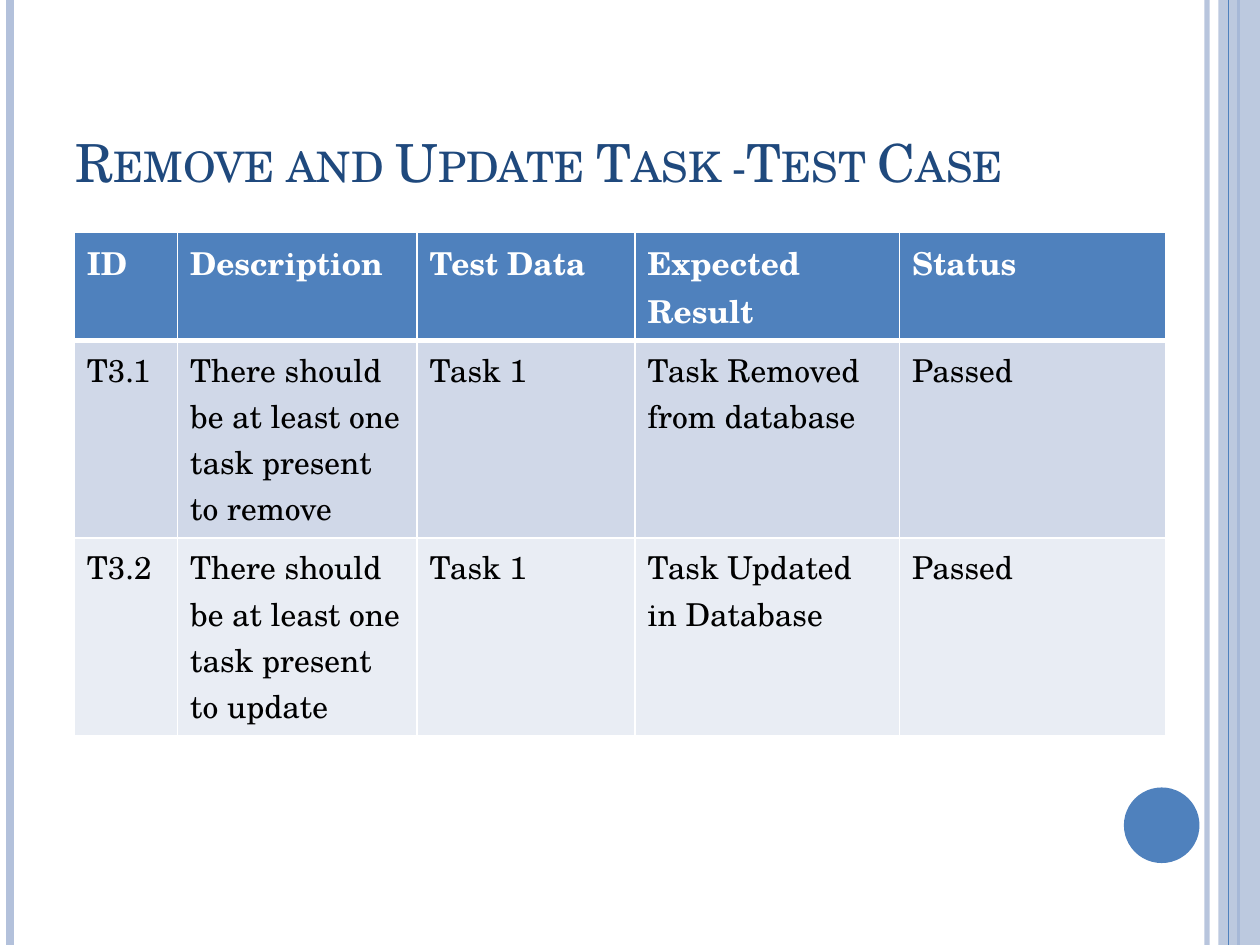
from lxml import etree
from pptx import Presentation
from pptx.dml.color import RGBColor
from pptx.enum.shapes import MSO_CONNECTOR, MSO_SHAPE
from pptx.enum.text import MSO_ANCHOR
from pptx.oxml.ns import qn
from pptx.util import Inches, Pt

STRAIGHT = MSO_CONNECTOR.STRAIGHT
RECTANGLE, OVAL = MSO_SHAPE.RECTANGLE, MSO_SHAPE.OVAL
BOTTOM = MSO_ANCHOR.BOTTOM

# Content
TITLE = "Remove and Update Task -Test Case"
TEST_CASES = [
    ("ID", "Description", "Test Data", "Expected Result", "Status"),
    ("T3.1", "There should be at least one task present to remove", "Task 1",
     "Task Removed from database", "Passed"),
    ("T3.2", "There should be at least one task present to update", "Task 1",
     "Task Updated in Database", "Passed"),
]

THEME = {
    "font": "TeX Gyre Schola", "title_size": 30, "table_size": 18,
    "title": "1F497D", "accent": "4F81BD", "pale": "B3C1DB",
    "header_text": "FFFFFF", "body_text": "000000", "border": "FFFFFF",
    "bands": ("E9EDF4", "D0D8E8"),
}

# Layout in inches
WIDTH, HEIGHT = 10, 7.5
TITLE_BOX = (0.5, 0.33, 8.17, 1.25)
TABLE_LEFT, TABLE_TOP = 0.59, 1.84
COLUMN_WIDTHS = (0.82, 1.9, 1.73, 2.1, 2.11)
ROW_HEIGHTS = (0.86, 1.57, 1.57)
# Vertical rules: x, colour, points, opacity percent
RULES_BEHIND = [(9.58, "pale", 3, 93), (0.08, "pale", 4.5, 100),
                (9.83, "accent", 1.5, 100)]
RULES_FRONT = [(9.75, "accent", 0.75, 100)]
SIDE_BAND = (9.67, 0, 0.33, HEIGHT)
DISC = (8.92, 6.25, 0.6, 0.6)


def color(name):
    return RGBColor.from_string(THEME.get(name, name))


def set_opacity(properties, percent):
    if percent < 100:
        fill_color = next(properties.iter(qn("a:srgbClr")))
        etree.SubElement(fill_color, qn("a:alpha"), val=str(percent * 1000))


def add_rule(slide, x, color_name, points, opacity):
    rule = slide.shapes.add_connector(
        STRAIGHT, Inches(x), 0, Inches(x), Inches(HEIGHT))
    rule.line.color.rgb = color(color_name)
    rule.line.width = Pt(points)
    properties = rule._element.spPr
    set_opacity(properties, opacity)
    etree.SubElement(properties, qn("a:effectLst"))


def add_solid(slide, preset, box, color_name, opacity=100):
    shape = slide.shapes.add_shape(preset, *map(Inches, box))
    shape.shadow.inherit = False
    shape.fill.solid()
    shape.fill.fore_color.rgb = color(color_name)
    shape.line.fill.background()
    set_opacity(shape._element.spPr, opacity)


def format_text(text_frame, size, color_name, bold=False):
    for paragraph in text_frame.paragraphs:
        for run in paragraph.runs:
            run.font.name = THEME["font"]
            run.font.size = Pt(THEME[size])
            run.font.bold = bold
            run.font.color.rgb = color(color_name)


def add_borders(cell, widths):
    properties = cell._tc.get_or_add_tcPr()
    for side, points in widths.items():
        line = etree.SubElement(properties, qn("a:ln" + side), w=str(Pt(points)))
        fill = etree.SubElement(line, qn("a:solidFill"))
        etree.SubElement(fill, qn("a:srgbClr"), val=THEME["border"])


presentation = Presentation()
presentation.slide_width, presentation.slide_height = Inches(WIDTH), Inches(HEIGHT)
slide = presentation.slides.add_slide(presentation.slide_layouts[6])

# Side decoration
for rule in RULES_BEHIND:
    add_rule(slide, *rule)
add_solid(slide, RECTANGLE, SIDE_BAND, "pale", 87)
for rule in RULES_FRONT:
    add_rule(slide, *rule)
add_solid(slide, OVAL, DISC, "accent")

# Title in small capitals
title_frame = slide.shapes.add_textbox(*map(Inches, TITLE_BOX)).text_frame
title_frame.word_wrap = True
title_frame.vertical_anchor = BOTTOM
title_frame.text = TITLE
format_text(title_frame, "title_size", "title")
title_frame.paragraphs[0].runs[0].font._element.set("cap", "small")

# Test case table
table = slide.shapes.add_table(
    len(ROW_HEIGHTS), len(COLUMN_WIDTHS), Inches(TABLE_LEFT), Inches(TABLE_TOP),
    Inches(sum(COLUMN_WIDTHS)), Inches(sum(ROW_HEIGHTS))).table
for column, width in zip(table.columns, COLUMN_WIDTHS):
    column.width = Inches(width)
for table_row, height in zip(table.rows, ROW_HEIGHTS):
    table_row.height = Inches(height)
for row_index, row in enumerate(TEST_CASES):
    header = row_index == 0
    for column_index, text in enumerate(row):
        cell = table.cell(row_index, column_index)
        cell.text_frame.text = text
        format_text(cell.text_frame, "table_size",
                    "header_text" if header else "body_text", header)
        add_borders(cell, {"L": 1, "R": 1, "T": 3 if row_index == 1 else 1,
                           "B": 3 if header else 1})
        cell.fill.solid()
        cell.fill.fore_color.rgb = color(
            "accent" if header else THEME["bands"][row_index % 2])

presentation.save("out.pptx")
